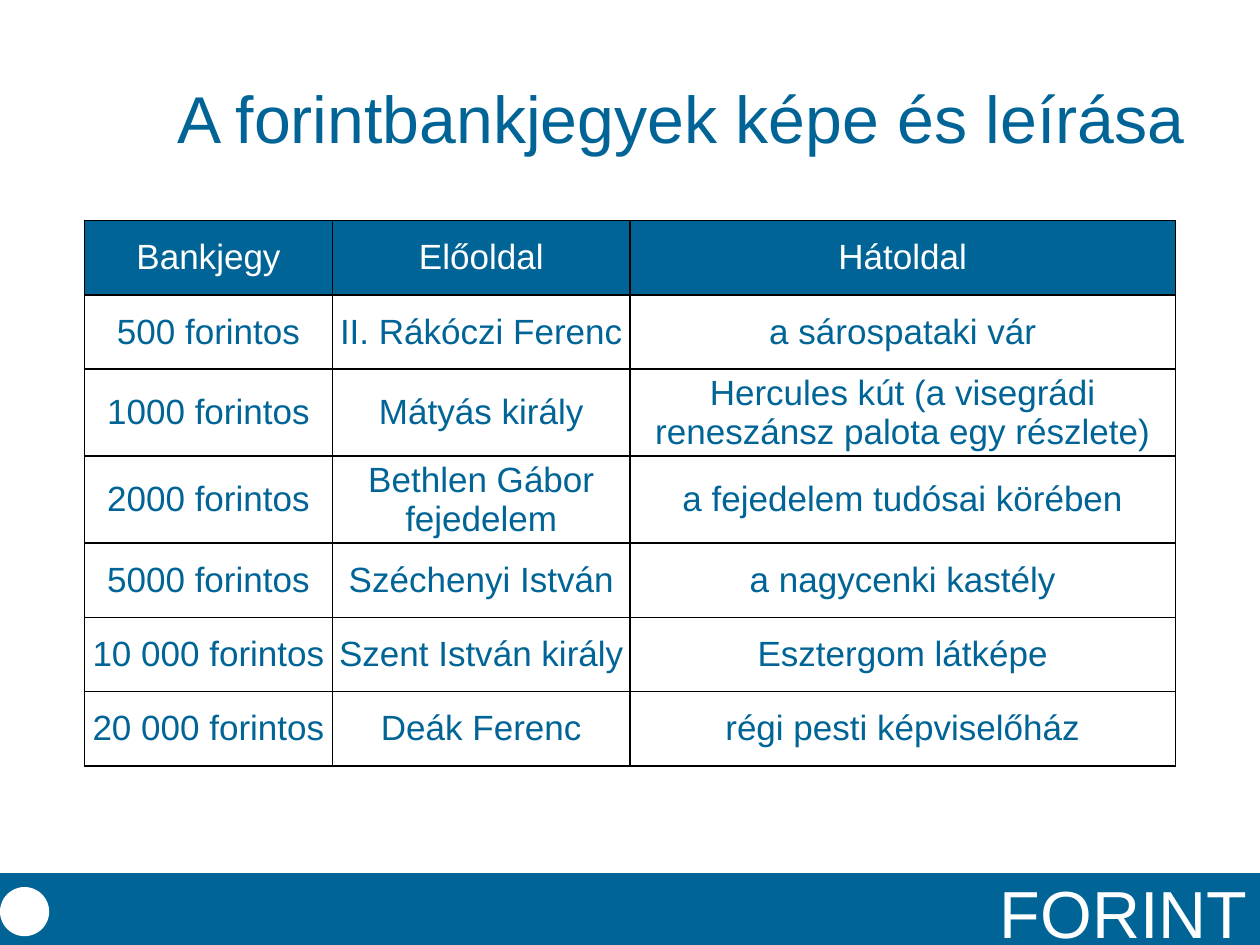
from lxml.etree import SubElement
from pptx import Presentation
from pptx.dml.color import RGBColor as Color
from pptx.enum.shapes import MSO_SHAPE as Shape
from pptx.enum.text import MSO_ANCHOR as Anchor, PP_ALIGN as Align
from pptx.oxml.ns import qn
from pptx.util import Inches, Pt

COLORS = {"blue": "006496", "white": "FFFFFF", "black": "000000"}
FONT = "Arial"
COLUMN_WIDTHS = [1.97, 2.36, 4.33]
ROW_HEIGHTS = [0.59, 0.59, 0.69, 0.69, 0.59, 0.59, 0.59]
BANKNOTES = [
    ("Bankjegy", "Előoldal", "Hátoldal"),
    ("500 forintos", "II. Rákóczi Ferenc", "a sárospataki vár"),
    ("1000 forintos", "Mátyás király",
     "Hercules kút (a visegrádi reneszánsz palota egy részlete)"),
    ("2000 forintos", "Bethlen Gábor fejedelem", "a fejedelem tudósai körében"),
    ("5000 forintos", "Széchenyi István", "a nagycenki kastély"),
    ("10 000 forintos", "Szent István király", "Esztergom látképe"),
    ("20 000 forintos", "Deák Ferenc", "régi pesti képviselőház"),
]


def rgb(name):
    return Color.from_string(COLORS[name])


def set_fill(item, color):
    item.fill.solid()
    item.fill.fore_color.rgb = rgb(color)


def write(text_frame, text, size, color, align):
    paragraph = text_frame.paragraphs[0]
    paragraph.alignment = align
    run = paragraph.add_run()
    run.text = text
    formats = {"name": FONT, "size": Pt(size), "bold": False}
    for attribute, value in formats.items():
        setattr(run.font, attribute, value)
    run.font.color.rgb = rgb(color)


def add_filled_shape(slide, kind, box, color):
    shape = slide.shapes.add_shape(kind, *map(Inches, box))
    shape.shadow.inherit = False
    set_fill(shape, color)
    shape.line.fill.background()
    return shape


def add_footer(slide, left, top, width, height):
    # Band with the topic word
    band = add_filled_shape(slide, Shape.RECTANGLE, (left, top, width, height), "blue")
    band.line.color.rgb = rgb("blue")
    band.line.width = Pt(2)
    band.text_frame.vertical_anchor = Anchor.MIDDLE
    write(band.text_frame, "FORINT", 38, "white", Align.RIGHT)
    # Round marker
    size = 0.39
    marker_top = top + (height - size) / 2
    add_filled_shape(slide, Shape.OVAL, (left, marker_top, size, size), "white")


def add_title(slide, left, top, width, height):
    title = slide.shapes.add_textbox(*map(Inches, (left, top, width, height)))
    title.text_frame.word_wrap = True
    title.text_frame.vertical_anchor = Anchor.MIDDLE
    write(title.text_frame, "A forintbankjegyek képe és leírása", 37.8, "blue", Align.RIGHT)


def set_borders(cell):
    properties = cell._tc.get_or_add_tcPr()
    for index, side in enumerate(("lnL", "lnR", "lnT", "lnB")):
        line = SubElement(properties, qn(f"a:{side}"), w=str(Pt(1)))
        fill = SubElement(line, qn("a:solidFill"))
        SubElement(fill, qn("a:srgbClr"), val=COLORS["black"])
        # Border lines come before the cell fill
        properties.insert(index, line)


def add_banknote_table(slide, left, top, width, height):
    frame = slide.shapes.add_table(len(BANKNOTES), len(COLUMN_WIDTHS),
                                   *map(Inches, (left, top, width, height)))
    table = frame.table
    table.horz_banding = False
    for column, column_width in zip(table.columns, COLUMN_WIDTHS):
        column.width = Inches(column_width)
    for row, row_height in zip(table.rows, ROW_HEIGHTS):
        row.height = Inches(row_height)

    for row_index, texts in enumerate(BANKNOTES):
        fill, ink = ("blue", "white") if row_index == 0 else ("white", "blue")
        for column_index, text in enumerate(texts):
            cell = table.cell(row_index, column_index)
            for side in ("left", "right", "top", "bottom"):
                setattr(cell, f"margin_{side}", Inches(0.01))
            cell.vertical_anchor = Anchor.MIDDLE
            set_fill(cell, fill)
            set_borders(cell)
            write(cell.text_frame, text, 20, ink, Align.CENTER)


presentation = Presentation()
presentation.slide_width = Inches(10)
presentation.slide_height = Inches(7.5)
slide = presentation.slides.add_slide(presentation.slide_layouts[6])

add_footer(slide, 0, 6.94, 10, 0.59)
add_title(slide, 0.5, 0.3, 9, 1.25)
add_banknote_table(slide, 0.67, 1.75, sum(COLUMN_WIDTHS), sum(ROW_HEIGHTS))

presentation.save("out.pptx")
